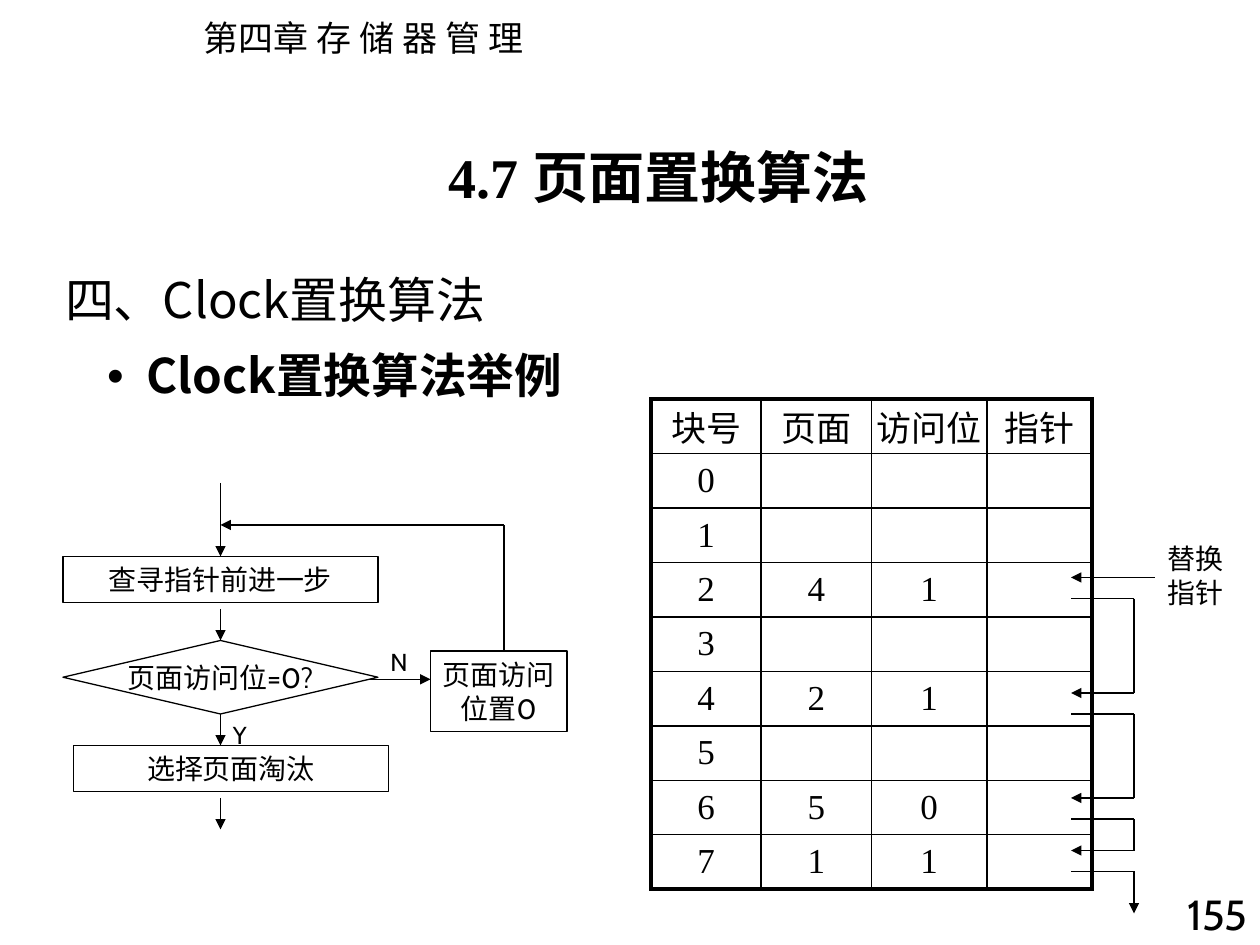
from dataclasses import dataclass

from lxml import etree
from pptx import Presentation
from pptx.dml.color import RGBColor
from pptx.enum.shapes import MSO_CONNECTOR, MSO_SHAPE
from pptx.enum.text import MSO_ANCHOR, MSO_AUTO_SIZE, PP_ALIGN
from pptx.oxml.ns import qn
from pptx.util import Inches, Pt

LEFT, CENTER, RIGHT = PP_ALIGN.LEFT, PP_ALIGN.CENTER, PP_ALIGN.RIGHT
TOP, MIDDLE = MSO_ANCHOR.TOP, MSO_ANCHOR.MIDDLE
RECT, DIAMOND = MSO_SHAPE.RECTANGLE, MSO_SHAPE.DIAMOND
STRAIGHT = MSO_CONNECTOR.STRAIGHT
COLORS = {"ink": "000000"}
INK = RGBColor.from_string(COLORS["ink"])
SANS, SERIF, CABIN = "Noto Sans CJK SC", "Times New Roman", "Cabin"

prs = Presentation()
prs.slide_width, prs.slide_height = Inches(10), Inches(7.5)
UNIT = prs.slide_width / 120  # the slide is a grid of 120 columns and 90 rows


@dataclass
class Label:
    text: str
    x: float
    y: float
    w: float
    h: float
    size: float = 16
    font: str = CABIN
    bold: bool = False
    align: PP_ALIGN = LEFT
    wrap: bool = True


@dataclass
class Node:
    kind: MSO_SHAPE
    label: Label


def grid(*cells: float) -> list[int]:
    return [round(c * UNIT) for c in cells]


def fill_text(frame, label: Label, anchor=TOP) -> None:
    frame.text = label.text
    frame.word_wrap = label.wrap
    frame.auto_size = MSO_AUTO_SIZE.NONE
    frame.vertical_anchor = anchor
    para = frame.paragraphs[0]
    para.alignment = label.align
    for run in para.runs:
        style(run, label.size, label.font, label.bold)


def style(run, size: float, font: str, bold: bool = False) -> None:
    run.font.size, run.font.name, run.font.bold = Pt(size), font, bold
    run.font.color.rgb = INK
    east = etree.SubElement(run.font._element, qn("a:ea"))
    east.set("typeface", SANS)


def add_label(slide, label: Label) -> None:
    box = slide.shapes.add_textbox(*grid(label.x, label.y, label.w, label.h))
    fill_text(box.text_frame, label)


def add_node(slide, node: Node):
    label = node.label
    shape = slide.shapes.add_shape(
        node.kind, *grid(label.x, label.y, label.w, label.h))
    shape.shadow.inherit = False
    shape.fill.background()
    shape.line.color.rgb, shape.line.width = INK, Pt(0.75)
    fill_text(shape.text_frame, label, MIDDLE)
    return shape


def add_route(slide, *points: tuple[float, float]) -> list:
    """Join the points with straight lines, with an arrowhead on the last."""
    lines = []
    for start, end in zip(points, points[1:]):
        line = slide.shapes.add_connector(STRAIGHT, *grid(*start, *end))
        line.line.color.rgb, line.line.width = INK, Pt(0.75)
        etree.SubElement(line._element.spPr, qn("a:effectLst"))
        lines.append(line)
    etree.SubElement(lines[-1].line._get_or_add_ln(), qn("a:tailEnd"),
                     type="triangle")
    return lines


def set_edges(cell, row: int, col: int, rows: int, cols: int) -> None:
    outer = {"lnL": col == 0, "lnR": col == cols - 1,
             "lnT": row == 0, "lnB": row == rows - 1}
    for side, thick in outer.items():
        edge = etree.SubElement(cell._tc.get_or_add_tcPr(), qn(f"a:{side}"),
                                w=str(Pt(2.25 if thick else 1)))
        fill = etree.SubElement(edge, qn("a:solidFill"))
        etree.SubElement(fill, qn("a:srgbClr"), val=COLORS["ink"])


def add_frames(slide, x, y, h, widths: list[float], rows: list) -> None:
    """Draw the table of memory frames."""
    count = len(rows)
    table = slide.shapes.add_table(
        count, len(widths), *grid(x, y, sum(widths), h)).table
    table.first_row = table.horz_banding = False
    for col, width in zip(table.columns, grid(*widths)):
        col.width = width
    for r, values in enumerate(rows):
        table.rows[r].height = round(h * UNIT / count)
        for c, value in enumerate(values):
            cell = table.cell(r, c)
            set_edges(cell, r, c, count, len(widths))
            cell.fill.background()
            cell.margin_left = cell.margin_right = 0
            cell.margin_top = cell.margin_bottom = 0
            cell.vertical_anchor = MIDDLE
            cell.text = value
            para = cell.text_frame.paragraphs[0]
            para.alignment = CENTER
            for run in para.runs:
                style(run, 20, SERIF)


def place(holder, label: Label, anchor=TOP) -> None:
    holder.left, holder.top, holder.width, holder.height = grid(
        label.x, label.y, label.w, label.h)
    fill_text(holder.text_frame, label, anchor)


slide = prs.slides.add_slide(prs.slide_layouts[1])
title, body = slide.placeholders
place(title, Label("四、Clock置换算法", 5, 24, 107, 9, 28, SANS), MIDDLE)
place(body, Label("Clock置换算法举例", 9, 33, 48.5, 7.8, 27.2, SANS, True))
item = body.text_frame.paragraphs[0]
item.line_spacing, item.space_before = 0.9, Pt(0)
props = item._p.get_or_add_pPr()
props.set("marL", str(Inches(0.31)))
props.set("indent", str(-Inches(0.31)))
etree.SubElement(props, qn("a:buChar"), char="•")

LABELS = [
    Label("第四章 存 储 器 管 理", 18.2, 1, 33.6, 5.3, 20, SANS, wrap=False),
    Label("4.7 页面置换算法", 41.5, 13, 44.9, 7.7, 32, SERIF, True, wrap=False),
    Label("155", 110, 84, 10, 6.7, 24, align=RIGHT),
    Label("替换指针", 110, 51, 10, 7.7),
    Label("N", 36, 61, 6, 4, 14),
    Label("Y", 21, 68, 6, 4, 14),
]
for label in LABELS:
    add_label(slide, label)

used = {2: ("4", "1"), 4: ("2", "1"), 6: ("5", "0"), 7: ("1", "1")}
head = ("块号", "页面", "访问位", "指针")
frames = [(str(n), *used.get(n, ("", "")), "") for n in range(8)]
add_frames(slide, 62, 38, 46.7, [10.5, 10.5, 11, 10], [head, *frames])

INNER, OUTER = 102, 108
for start, end in [(57, 66), (68, 76), (78, 81)]:
    add_route(slide, (INNER, start), (OUTER, start), (OUTER, end), (INNER, end))
add_route(slide, (INNER, 83), (OUTER, 83), (OUTER, 87))
add_route(slide, (110, 55), (INNER, 55))

step, test, pick, reset = [add_node(slide, node) for node in (
    Node(RECT, Label("查寻指针前进一步", 6, 53, 30, 4.4, align=CENTER)),
    Node(DIAMOND, Label("页面访问位=0?", 6, 61, 30, 7, align=CENTER, wrap=False)),
    Node(RECT, Label("选择页面淘汰", 7, 71, 30, 4.4, align=CENTER)),
    Node(RECT, Label("页面访问位置0", 41, 62, 13, 7.7, align=CENTER)),
)]
AXIS = 21
enter, check, yes, leave = [
    add_route(slide, (AXIS, a), (AXIS, b))[0]
    for a, b in [(46, 53), (58, 61), (68, 71), (76, 79)]]
enter.end_connect(step, 0)
check.end_connect(test, 0)
yes.begin_connect(test, 2)
add_route(slide, (35, 64.7), (41, 64.7))
add_route(slide, (48, 62), (48, 50), (AXIS, 50))

prs.save("out.pptx")
